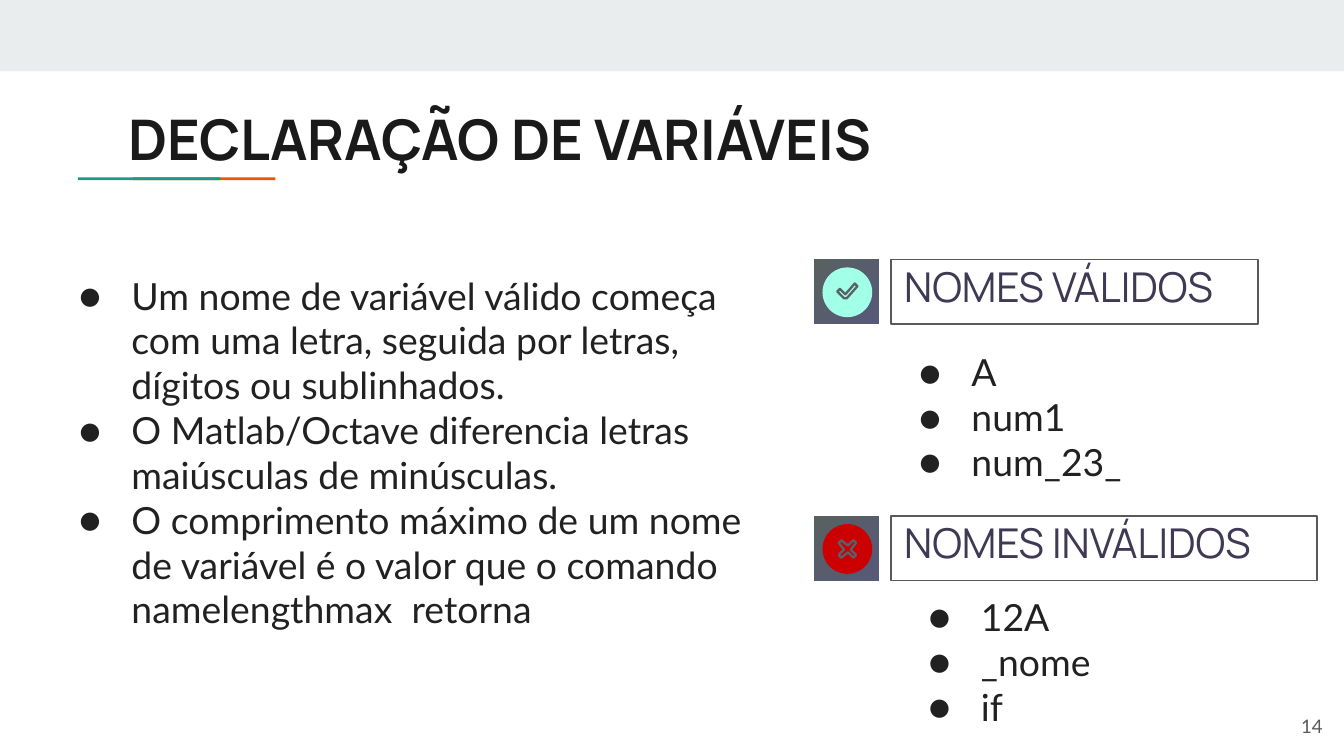
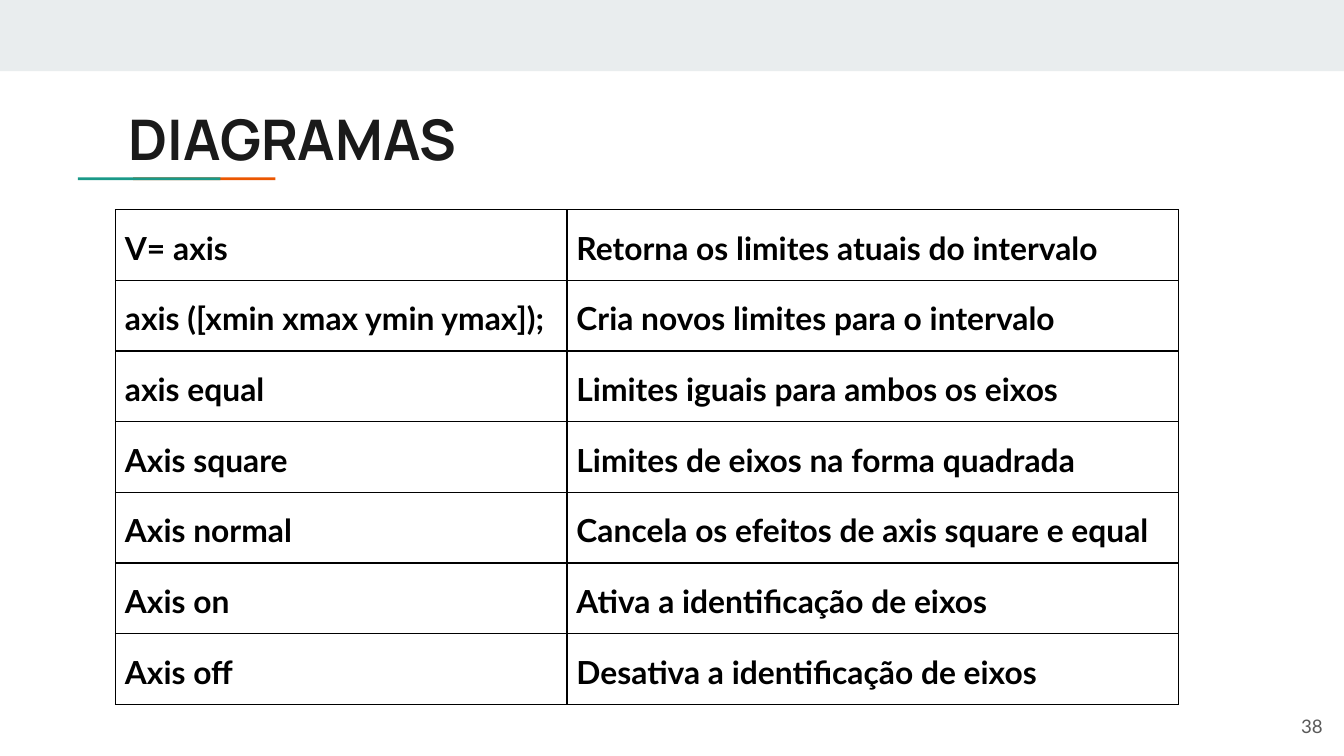
"""Builds two lecture slides: variable naming rules and axis commands."""
from lxml import etree
from pptx import Presentation
from pptx.dml.color import RGBColor
from pptx.enum.shapes import MSO_SHAPE
from pptx.enum.text import MSO_ANCHOR, PP_ALIGN
from pptx.oxml.ns import qn
from pptx.util import Inches, Pt

RECT, OVAL = MSO_SHAPE.RECTANGLE, MSO_SHAPE.OVAL
TOP, MIDDLE, BOTTOM = MSO_ANCHOR.TOP, MSO_ANCHOR.MIDDLE, MSO_ANCHOR.BOTTOM
LEFT, RIGHT = PP_ALIGN.LEFT, PP_ALIGN.RIGHT

HEADING_FONT, BODY_FONT = "Manrope", "Lato"
BAND, TEAL, ORANGE = "E9EDEE", "1A9988", "EB5600"
TITLE, BODY, GREY, LABEL, BLACK = "1A1A1A", "212121", "595959", "403953", "000000"
BADGE_START, BADGE_END, MARK_EDGE = "575979", "586160", "586068"

RULES = [
    "Um nome de variável válido começa com uma letra, seguida por letras, dígitos ou sublinhados.",
    "O Matlab/Octave diferencia letras maiúsculas de minúsculas.",
    "O comprimento máximo de um nome de variável é o valor que o comando namelengthmax  retorna",
]
CHECK = [(0.17, 0.24), (0.19, 0.22), (0.23, 0.26), (0.3, 0.18), (0.32, 0.2), (0.24, 0.29), (0.22, 0.29)]
CROSS = [(0.18, 0.2), (0.2, 0.18), (0.25, 0.22), (0.29, 0.18), (0.31, 0.2), (0.27, 0.25),
         (0.31, 0.29), (0.29, 0.31), (0.25, 0.27), (0.2, 0.31), (0.18, 0.29), (0.22, 0.25)]
NAME_GROUPS = [
    dict(label="NOMES VÁLIDOS", top=1.93, width=2.73, color="A2FFE8", mark=CHECK,
         names=["A", "num1", "num_23_"], names_at=(6.63, 2.5)),
    dict(label="NOMES INVÁLIDOS", top=3.84, width=3.17, color="CC0000", mark=CROSS,
         names=["12A", "_nome", "if"], names_at=(6.7, 4.32)),
]
BADGE_LEFT, LABEL_LEFT, BADGE_SIZE = 6.06, 6.63, 0.48
AXIS_COMMANDS = [
    ("V= axis", "Retorna os limites atuais do intervalo"),
    ("axis ([xmin xmax ymin ymax]);", "Cria novos limites para o intervalo"),
    ("axis equal", "Limites iguais para ambos os eixos"),
    ("Axis square", "Limites de eixos na forma quadrada"),
    ("Axis normal", "Cancela os efeitos de axis square e equal"),
    ("Axis on", "Ativa a identificação de eixos"),
    ("Axis off", "Desativa a identificação de eixos"),
]
COLUMN_WIDTHS, ROW_HEIGHT = (3.36, 4.55), 0.42


def rgb(color):
    return RGBColor.from_string(color)


def box(values):
    return [Inches(value) for value in values]


def style_runs(paragraph, font, size, color, bold=False):
    for run in paragraph.runs:
        run.font.name, run.font.size, run.font.bold = font, Pt(size), bold
        run.font.color.rgb = rgb(color)


def write(shape, text, font, size, color, bold=False, anchor=TOP, align=LEFT):
    frame = shape.text_frame
    frame.text = text
    frame.word_wrap = True
    frame.vertical_anchor = anchor
    frame.margin_left = frame.margin_right = frame.margin_top = frame.margin_bottom = Inches(0.1)
    for paragraph in frame.paragraphs:
        paragraph.alignment = align
        style_runs(paragraph, font, size, color, bold)
    return frame


def add_block(slide, geometry, at, fill=None):
    block = slide.shapes.add_shape(geometry, *box(at))
    block.shadow.inherit = False
    block.line.fill.background()
    if fill:
        block.fill.solid()
        block.fill.fore_color.rgb = rgb(fill)
    else:
        block.fill.background()
    return block


def add_bullets(slide, at, items):
    frame = write(slide.shapes.add_textbox(*box(at)), "\n".join(items), BODY_FONT, 20, BODY)
    for paragraph in frame.paragraphs:
        properties = paragraph._p.get_or_add_pPr()
        properties.set("marL", str(Inches(0.5)))
        properties.set("indent", str(Inches(-0.39)))
        bullet_color = etree.SubElement(properties, qn("a:buClr"))
        etree.SubElement(bullet_color, qn("a:srgbClr"), val=BODY)
        etree.SubElement(properties, qn("a:buFont"), typeface=BODY_FONT)
        etree.SubElement(properties, qn("a:buChar"), char="●")


def add_badge(slide, top, color, mark):
    badge = add_block(slide, RECT, (BADGE_LEFT, top, BADGE_SIZE, BADGE_SIZE))
    badge.fill.gradient()
    badge.fill.gradient_angle = 135
    for stop, stop_color in zip(badge.fill.gradient_stops, (BADGE_START, BADGE_END)):
        stop.color.rgb = rgb(stop_color)
    add_block(slide, OVAL, (BADGE_LEFT + 0.06, top + 0.06, 0.37, 0.37), color)
    points = [(Inches(BADGE_LEFT + x), Inches(top + y)) for x, y in mark]
    builder = slide.shapes.build_freeform(*points[0])
    builder.add_line_segments(points[1:], close=True)
    symbol = builder.convert_to_shape()
    symbol.shadow.inherit = False
    symbol.fill.solid()
    symbol.fill.fore_color.rgb = rgb(color)
    symbol.line.color.rgb = rgb(MARK_EDGE)
    symbol.line.width = Pt(1.25)


def add_name_group(slide, group):
    top = group["top"]
    add_badge(slide, top, group["color"], group["mark"])
    label = add_block(slide, RECT, (LABEL_LEFT, top, group["width"], BADGE_SIZE))
    label.line.color.rgb = rgb(GREY)
    label.line.width = Pt(0.75)
    write(label, group["label"], HEADING_FONT, 22, LABEL, anchor=BOTTOM)
    add_bullets(slide, (*group["names_at"], 1.94, 1.45), group["names"])


def add_borders(cell):
    properties = cell._tc.get_or_add_tcPr()
    for position, side in enumerate(("a:lnL", "a:lnR", "a:lnT", "a:lnB")):
        border = etree.Element(qn(side), w=str(Pt(0.83)))
        fill = etree.SubElement(border, qn("a:solidFill"))
        etree.SubElement(fill, qn("a:srgbClr"), val=BLACK)
        properties.insert(position, border)


def add_command_table(slide):
    at = (0.86, 1.56, sum(COLUMN_WIDTHS), ROW_HEIGHT * len(AXIS_COMMANDS))
    table = slide.shapes.add_table(len(AXIS_COMMANDS), len(COLUMN_WIDTHS), *box(at)).table
    table.first_row = table.horz_banding = False
    for column, width in zip(table.columns, COLUMN_WIDTHS):
        column.width = Inches(width)
    for row, texts in zip(table.rows, AXIS_COMMANDS):
        row.height = Inches(ROW_HEIGHT)
        for cell, text in zip(row.cells, texts):
            cell.text_frame.text = text
            cell.margin_left = cell.margin_right = Inches(0.07)
            cell.margin_top = cell.margin_bottom = Inches(0.1)
            paragraph = cell.text_frame.paragraphs[0]
            paragraph.line_spacing = 1.15
            style_runs(paragraph, BODY_FONT, 17, BLACK, True)
            cell.fill.background()
            add_borders(cell)


def add_slide(deck, title, number):
    slide = deck.slides.add_slide(deck.slide_layouts[6])
    add_block(slide, RECT, (0, 0, 10, 0.53), BAND)
    for left, color in ((0.99, ORANGE), (0.58, TEAL)):
        add_block(slide, RECT, (left, 1.32, 1.06, 0.02), color)
    heading = slide.shapes.add_textbox(*box((0.86, 0.68, 8.41, 0.59)))
    write(heading, title, HEADING_FONT, 30, TITLE, bold=True)
    page = slide.shapes.add_textbox(*box((9.34, 5.19, 0.6, 0.43)))
    write(page, str(number), BODY_FONT, 10, GREY, anchor=MIDDLE, align=RIGHT)
    return slide


def main():
    deck = Presentation()
    deck.slide_width, deck.slide_height = Inches(10), Inches(10 * 9 / 16)
    naming = add_slide(deck, "DECLARAÇÃO DE VARIÁVEIS", 14)
    add_bullets(naming, (0.38, 1.93, 5.43, 2.95), RULES)
    for group in NAME_GROUPS:
        add_name_group(naming, group)
    add_command_table(add_slide(deck, "DIAGRAMAS", 38))
    deck.save("out.pptx")


if __name__ == "__main__":
    main()
